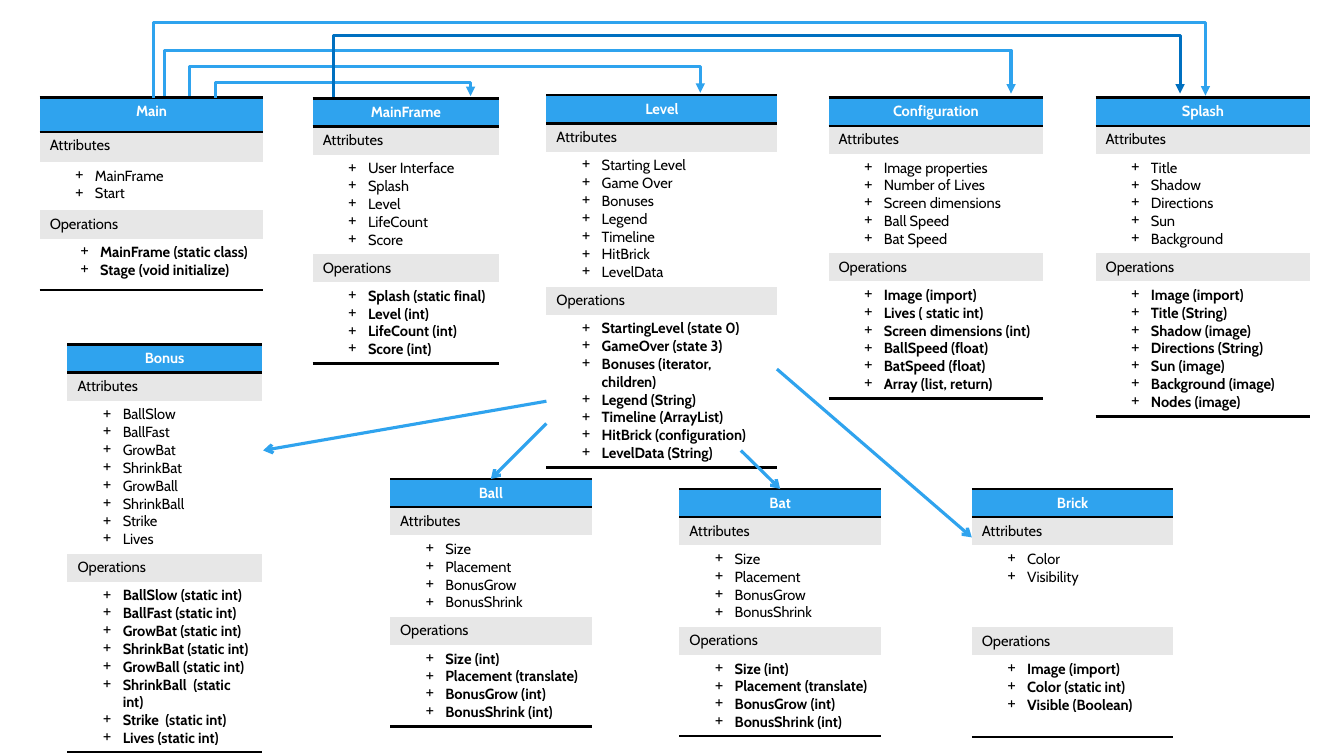
from lxml import etree
from pptx import Presentation
from pptx import util as u
from pptx.dml.color import RGBColor
from pptx.enum import shapes, text
from pptx.oxml import ns

BLUE = RGBColor(0x2F, 0xA3, 0xEE)
DARK_BLUE = RGBColor(0x00, 0x70, 0xC0)
GREY = RGBColor(0xE7, 0xE7, 0xE7)
WHITE = RGBColor(0xFF, 0xFF, 0xFF)
BLACK = RGBColor(0x00, 0x00, 0x00)
FONT = "Cabin"
NO_GRID_STYLE = "{2D5ABB26-0587-4C30-8999-92F81FD0307C}"

# Heights in cm
BAR, LINE, PADDING = 0.71, 0.45, 0.25

SIZE_AND_BONUS = ["Size", "Placement", "BonusGrow", "BonusShrink"]
SIZE_OPERATIONS = ["Size (int)", "Placement (translate)", "BonusGrow (int)", "BonusShrink (int)"]

# Name, (left, top, width) in cm, attributes, operations
CLASSES = [
    ("Main", (1, 2.46, 5.64), ["MainFrame", "Start"],
     ["MainFrame (static class)", "Stage (void initialize)"]),
    ("MainFrame", (7.88, 2.48, 4.7),
     ["User Interface", "Splash", "Level", "LifeCount", "Score"],
     ["Splash (static final)", "Level (int)", "LifeCount (int)", "Score (int)"]),
    ("Configuration", (20.88, 2.46, 5.41),
     ["Image properties", "Number of Lives", "Screen dimensions", "Ball Speed", "Bat Speed"],
     ["Image (import)", "Lives ( static int)", "Screen dimensions (int)",
      "BallSpeed (float)", "BatSpeed (float)", "Array (list, return)"]),
    ("Level", (13.77, 2.4, 5.82),
     ["Starting Level", "Game Over", "Bonuses", "Legend", "Timeline", "HitBrick", "LevelData"],
     ["StartingLevel (state 0)", "GameOver (state 3)", "Bonuses (iterator, children)",
      "Legend (String)", "Timeline (ArrayList)", "HitBrick (configuration)",
      "LevelData (String)"]),
    ("Bat", (17.12, 12.32, 5.08), SIZE_AND_BONUS, SIZE_OPERATIONS),
    ("Ball", (9.83, 12.07, 5.08), SIZE_AND_BONUS, SIZE_OPERATIONS),
    ("Bonus", (1.7, 8.68, 4.9),
     ["BallSlow", "BallFast", "GrowBat", "ShrinkBat", "GrowBall", "ShrinkBall",
      "Strike", "Lives"],
     ["BallSlow (static int)", "BallFast (static int)", "GrowBat (static int)",
      "ShrinkBat (static int)", "GrowBall (static int)", "ShrinkBall  (static int)",
      "Strike  (static int)", "Lives (static int)"]),
    ("Brick", (24.49, 12.32, 5.08), ["Color", "Visibility"],
     ["Image (import)", "Color (static int)", "Visible (Boolean)"]),
    ("Splash", (27.61, 2.46, 5.41),
     ["Title", "Shadow", "Directions", "Sun", "Background"],
     ["Image (import)", "Title (String)", "Shadow (image)", "Directions (String)",
      "Sun (image)", "Background (image)", "Nodes (image)"]),
]

# Classes whose rows are taller than their text
ROW_HEIGHTS = {
    "Main": (0.86, 0.76, 1.22, BAR, 1.3),
    "Brick": (BAR, BAR, 2.06, BAR, 2.06),
}
OPERATION_INDENTS = {"Main": 1.27}

# Start and end in cm
STRAIGHT_ARROWS = [
    ((13.77, 10.11), (6.63, 11.35)),
    ((13.77, 10.67), (12.37, 12.07)),
    ((18.67, 11.35), (19.66, 12.32)),
    ((19.58, 9.3), (24.49, 13.54)),
]

# Start, end, height of the crossbar, colour
OVERHEAD_ARROWS = [
    ((3.86, 2.46), (30.38, 2.41), 0.56, BLUE),
    ((5.44, 2.46), (11.86, 2.42), 2.08, BLUE),
    ((4.14, 2.41), (25.48, 2.36), 1.27, BLUE),
    ((4.78, 2.41), (17.65, 2.34), 1.68, BLUE),
    ((8.41, 2.44), (29.74, 2.36), 0.89, DARK_BLUE),
]


def add_child(parent, tag, **attributes):
    return etree.SubElement(parent, ns.qn(tag), **attributes)


def set_borders(cell, sides):
    """Draw black 2 pt borders; they stand before the fill in the cell."""
    properties = cell._tc.get_or_add_tcPr()
    for position, side in enumerate(sides):
        line = etree.Element(ns.qn(f"a:ln{side}"), w=str(u.Pt(2)))
        add_child(add_child(line, "a:solidFill"), "a:srgbClr", val=str(BLACK))
        properties.insert(position, line)


def add_run(paragraph, words, color=BLACK, bold=False):
    run = paragraph.add_run()
    run.text = words
    run.font.name = FONT
    run.font.size = u.Pt(10.5)
    run.font.bold = bold
    run.font.color.rgb = color


def fill_cell(cell, color):
    cell.fill.solid()
    cell.fill.fore_color.rgb = color


def write_bar(cell, words, fill=GREY, color=BLACK, bold=False):
    fill_cell(cell, fill)
    add_run(cell.text_frame.paragraphs[0], words, color, bold)


def write_list(cell, items, bold=False, indent=1.14):
    fill_cell(cell, WHITE)
    frame = cell.text_frame
    for index, item in enumerate(items):
        paragraph = frame.add_paragraph() if index else frame.paragraphs[0]
        paragraph.level = 1
        properties = paragraph._p.get_or_add_pPr()
        properties.set("marL", str(u.Cm(indent)))
        properties.set("indent", str(u.Cm(-0.5)))
        add_child(properties, "a:buChar", char="+")
        add_run(paragraph, item, bold=bold)


def add_class(slide, name, place, attributes, operations):
    heights = ROW_HEIGHTS.get(name) or (
        BAR, BAR, LINE * len(attributes) + PADDING,
        BAR, LINE * len(operations) + PADDING)
    left, top, width = map(u.Cm, place)
    table = slide.shapes.add_table(5, 1, left, top, width, u.Cm(sum(heights))).table
    table.first_row = table.horz_banding = False
    table._tbl.tblPr.find(ns.qn("a:tableStyleId")).text = NO_GRID_STYLE
    for row, height in zip(table.rows, heights):
        row.height = u.Cm(height)

    header, attribute_bar, attribute_list, operation_bar, operation_list = table.iter_cells()
    write_bar(header, name, BLUE, WHITE, bold=True)
    header.text_frame.paragraphs[0].alignment = text.PP_ALIGN.CENTER
    write_bar(attribute_bar, "Attributes")
    write_list(attribute_list, attributes)
    write_bar(operation_bar, "Operations")
    write_list(operation_list, operations, True, OPERATION_INDENTS.get(name, 1.14))
    set_borders(header, "TB")
    set_borders(operation_list, "B")


def add_arrow(slide, kind, start, end, color, head):
    points = [u.Cm(value) for value in (*start, *end)]
    connector = slide.shapes.add_connector(kind, *points)
    connector.line.width = u.Pt(2.25)
    connector.line.color.rgb = color
    add_child(connector.line._get_or_add_ln(), "a:tailEnd", type=head)
    add_child(connector._element.spPr, "a:effectLst")
    return connector


def add_overhead_arrow(slide, start, end, crossbar, color):
    """Go up to the crossbar, across and down: an elbow turned by 90 degrees."""
    (x1, y1), (x2, y2) = start, end
    rise, span = y1 - y2, x2 - x1
    left = (x1 + x2 - rise) / 2
    top = (y1 + y2 - span) / 2
    connector = add_arrow(slide, shapes.MSO_CONNECTOR.ELBOW, (left + rise, top + span),
                          (left, top), color, "triangle")
    properties = connector._element.spPr
    properties.find(ns.qn("a:xfrm")).set("rot", str(90 * 60000))
    bend = round((y1 - crossbar) / rise * 100000)
    guides = properties.find(ns.qn("a:prstGeom")).find(ns.qn("a:avLst"))
    add_child(guides, "a:gd", name="adj1", fmla=f"val {bend}")


def main():
    presentation = Presentation()
    presentation.slide_width = u.Cm(33.87)
    presentation.slide_height = u.Cm(19.05)
    slide = presentation.slides.add_slide(presentation.slide_layouts[6])

    # Class boxes
    for details in CLASSES:
        add_class(slide, *details)

    # Arrows from Level to the game objects
    for start, end in STRAIGHT_ARROWS:
        add_arrow(slide, shapes.MSO_CONNECTOR.STRAIGHT, start, end, BLUE, "arrow")

    # Arrows above the top row
    for details in OVERHEAD_ARROWS:
        add_overhead_arrow(slide, *details)

    presentation.save("out.pptx")


if __name__ == "__main__":
    main()
